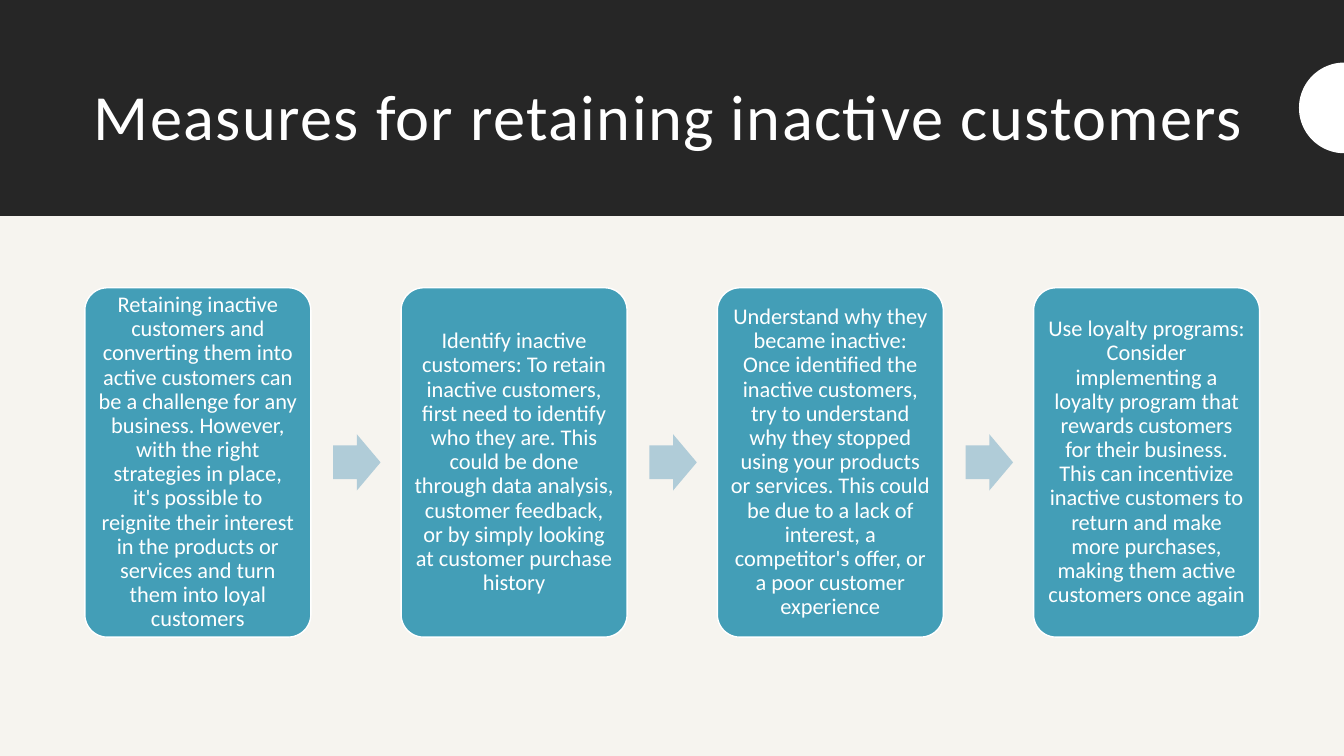
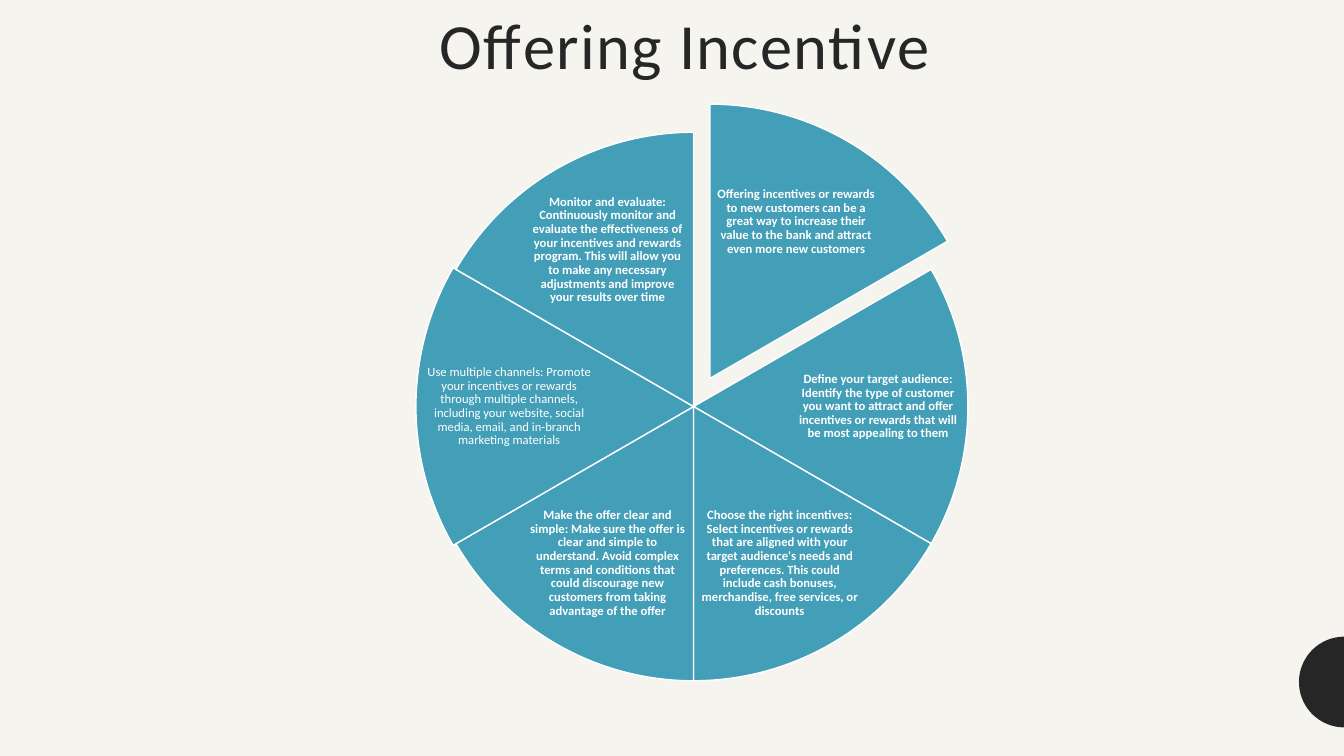
from dataclasses import dataclass
from math import cos, pi, sin

from pptx import Presentation
from pptx.dml.color import RGBColor
from pptx.enum.shapes import MSO_SHAPE
from pptx.enum.text import MSO_ANCHOR, PP_ALIGN
from pptx.util import Emu, Inches, Pt

COLUMNS, ROWS = 160, 90


@dataclass(frozen=True)
class Theme:
    paper: str = "F6F4EF"
    dark: str = "262626"
    light: str = "FFFFFF"
    accent: str = "439EB7"
    arrow: str = "B0CCD8"
    font: str = "Calibri"
    title_size: int = 46
    title_tracking: int = 100
    card_size: int = 16
    label_size: int = 9
    line_spacing: float = 0.9
    outline: int = 1


class Deck:
    """Draws on the current slide; lengths are columns and rows of the grid."""

    def __init__(self, theme):
        self.theme = theme
        self.presentation = Presentation()
        self.presentation.slide_width = Inches(13.33)
        self.presentation.slide_height = Inches(7.5)
        self.cell = self.presentation.slide_height / ROWS
        self.slide = None

    def add_slide(self):
        self.slide = self.presentation.slides.add_slide(self.presentation.slide_layouts[6])
        background = self.slide.background.fill
        background.solid()
        background.fore_color.rgb = RGBColor.from_string(self.theme.paper)

    def length(self, cells):
        return Emu(round(cells * self.cell))

    def paint(self, shape, fill, outlined=False):
        shape.shadow.inherit = False
        shape.fill.solid()
        shape.fill.fore_color.rgb = RGBColor.from_string(fill)
        if outlined:
            shape.line.color.rgb = RGBColor.from_string(self.theme.light)
            shape.line.width = Pt(self.theme.outline)
        else:
            shape.line.fill.background()

    def shape(self, kind, left, top, width, height, fill, outlined=False, adjustments=()):
        box = map(self.length, (left, top, width, height))
        shape = self.slide.shapes.add_shape(kind, *box)
        for index, value in enumerate(adjustments):
            shape.adjustments[index] = value
        self.paint(shape, fill, outlined)
        return shape

    def set_text(self, shape, text, size, color, bold=False, align=PP_ALIGN.CENTER,
                 anchor=MSO_ANCHOR.MIDDLE, inset=None):
        frame = shape.text_frame
        frame.word_wrap = True
        frame.vertical_anchor = anchor
        if inset is not None:
            frame.margin_left = frame.margin_right = self.length(inset)
            frame.margin_top = frame.margin_bottom = self.length(inset)
        paragraph = frame.paragraphs[0]
        paragraph.text = text
        paragraph.alignment = align
        paragraph.line_spacing = self.theme.line_spacing
        paragraph.font.name = self.theme.font
        paragraph.font.size = Pt(size)
        paragraph.font.bold = bold
        paragraph.font.color.rgb = RGBColor.from_string(color)
        return paragraph

    def text_box(self, left, top, width, height, text, size, color, **style):
        box = map(self.length, (left, top, width, height))
        return self.set_text(self.slide.shapes.add_textbox(*box), text, size, color, **style)

    def title(self, left, top, width, height, text, color, **style):
        paragraph = self.text_box(left, top, width, height, text,
                                  self.theme.title_size, color, **style)
        properties = paragraph.runs[0]._r.get_or_add_rPr()
        properties.set("spc", str(self.theme.title_tracking))

    def edge_disc(self, center_row, fill, radius=5.4, steps=48):
        """Half disc resting on the right edge of the slide."""
        angles = [pi / 2 + pi * step / steps for step in range(steps + 1)]
        points = [(self.length(COLUMNS + radius * cos(angle)),
                   self.length(center_row + radius * sin(angle))) for angle in angles]
        builder = self.slide.shapes.build_freeform(*points[0])
        builder.add_line_segments(points[1:], close=True)
        self.paint(builder.convert_to_shape(), fill)

    def card(self, left, top, width, height, text):
        shape = self.shape(MSO_SHAPE.ROUNDED_RECTANGLE, left, top, width, height,
                           self.theme.accent, outlined=True, adjustments=[0.1])
        self.set_text(shape, text, self.theme.card_size, self.theme.light, inset=0.8)

    def arrow(self, center_x, center_y, width=5.65, height=6.7):
        self.shape(MSO_SHAPE.RIGHT_ARROW, center_x - width / 2, center_y - height / 2,
                   width, height, self.theme.arrow, adjustments=[0.6, 0.5])

    def slice(self, center_x, center_y, radius, start, sweep):
        """Pie slice; angles are degrees clockwise from three o'clock."""
        # The preset counts 60000ths of a degree, an adjustment counts 100000ths.
        angles = [angle % 360 * 0.6 for angle in (start, start + sweep)]
        self.shape(MSO_SHAPE.PIE, center_x - radius, center_y - radius, 2 * radius, 2 * radius,
                   self.theme.accent, outlined=True, adjustments=angles)

    def slice_label(self, center_x, center_y, text, bold, width=19.2, height=14):
        self.text_box(center_x - width / 2, center_y - height / 2, width, height, text,
                      self.theme.label_size, self.theme.light, bold=bold, inset=0.12)


MEASURES = [
    "Retaining inactive customers and converting them into active customers can be a "
    "challenge for any business. However, with the right strategies in place, it's possible "
    "to reignite their interest in the products or services and turn them into loyal customers",
    "Identify inactive customers: To retain inactive customers, first need to identify who "
    "they are. This could be done through data analysis, customer feedback, or by simply "
    "looking at customer purchase history",
    "Understand why they became inactive: Once identified the inactive customers, try to "
    "understand why they stopped using your products or services. This could be due to a "
    "lack of interest, a competitor's offer, or a poor customer experience",
    "Use loyalty programs: Consider implementing a loyalty program that rewards customers "
    "for their business. This can incentivize inactive customers to return and make more "
    "purchases, making them active customers once again",
]

INCENTIVES = [
    "Offering incentives or rewards to new customers can be a great way to increase their "
    "value to the bank and attract even more new customers",
    "Define your target audience: Identify the type of customer you want to attract and "
    "offer incentives or rewards that will be most appealing to them",
    "Choose the right incentives: Select incentives or rewards that are aligned with your "
    "target audience's needs and preferences. This could include cash bonuses, merchandise, "
    "free services, or discounts",
    "Make the offer clear and simple: Make sure the offer is clear and simple to understand. "
    "Avoid complex terms and conditions that could discourage new customers from taking "
    "advantage of the offer",
    "Use multiple channels: Promote your incentives or rewards through multiple channels, "
    "including your website, social media, email, and in-branch marketing materials",
    "Monitor and evaluate: Continuously monitor and evaluate the effectiveness of your "
    "incentives and rewards program. This will allow you to make any necessary adjustments "
    "and improve your results over time",
]


def add_measures_slide(deck):
    theme = deck.theme
    deck.add_slide()
    deck.shape(MSO_SHAPE.RECTANGLE, 0, 0, COLUMNS, 25.7, theme.dark)
    deck.title(10, 5.5, 140, 17.4, "Measures for retaining inactive customers",
               theme.light, align=PP_ALIGN.LEFT)
    deck.edge_disc(12.85, theme.light)

    left, top, width, height, pitch = 10.1, 34.25, 26.9, 41.6, 37.64
    for index, text in enumerate(MEASURES):
        card_left = left + index * pitch
        if index:
            deck.arrow(card_left - (pitch - width) / 2 + 0.1, top + height / 2)
        deck.card(card_left, top, width, height, text)


def add_incentive_slide(deck):
    theme = deck.theme
    deck.add_slide()
    deck.edge_disc(81.2, theme.dark)
    deck.title(29.2, 1, 104.6, 11, "Offering Incentive", theme.dark, anchor=MSO_ANCHOR.TOP)

    center_x, center_y, radius = 82.55, 48.4, 32.65
    pulled, enlarged = 0, 4
    sweep = 360 / len(INCENTIVES)
    label_offsets = [(10.25, -18.65), (21.95, 0), (10.25, 18.65),
                     (-10.25, 18.65), (-21.95, 0), (-10.25, -18.65)]
    for index, (text, (across, down)) in enumerate(zip(INCENTIVES, label_offsets)):
        x, y = (center_x + 1.95, center_y - 3.35) if index == pulled else (center_x, center_y)
        slice_radius = radius + 0.4 if index == enlarged else radius
        deck.slice(x, y, slice_radius, index * sweep - 90, sweep)
        deck.slice_label(x + across, y + down, text, bold=index != enlarged,
                         width=19.2 if down else 19.9)


def main():
    deck = Deck(Theme())
    add_measures_slide(deck)
    add_incentive_slide(deck)
    deck.presentation.save("out.pptx")


if __name__ == "__main__":
    main()
